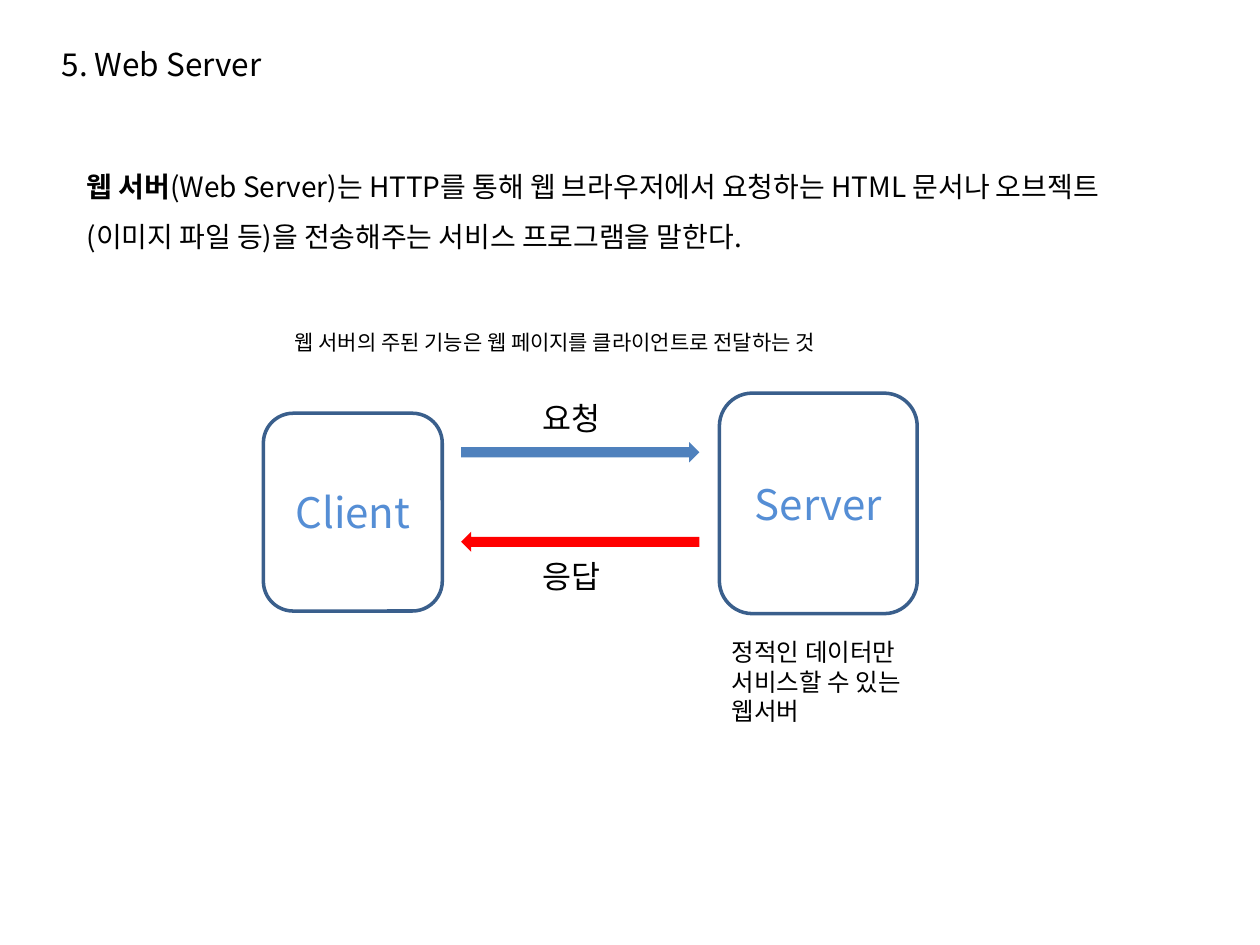
from dataclasses import dataclass

from lxml.etree import SubElement
from pptx import Presentation
from pptx.dml.color import RGBColor
from pptx.enum.shapes import MSO_SHAPE
from pptx.enum.text import MSO_ANCHOR, MSO_AUTO_SIZE, PP_ALIGN
from pptx.oxml.ns import qn
from pptx.util import Inches, Pt


@dataclass(frozen=True)
class Theme:
    font: str = "Noto Sans CJK KR"
    ink: str = "000000"
    outline: str = "3A5F8C"
    node_label: str = "558ED5"
    request: str = "4F81BD"
    response: str = "FF0000"
    heading: int = 18
    body: int = 16
    note: int = 14
    caption: int = 12
    node: int = 24
    outline_width: int = 2


class SlideBuilder:
    """Draws styled elements on the current slide."""

    def __init__(self, slide, theme):
        self.slide = slide
        self.theme = theme

    def style_run(self, run, size, color, bold=False):
        run.font.size = Pt(size)
        run.font.bold = bold
        run.font.color.rgb = RGBColor.from_string(color)
        run.font.name = self.theme.font
        SubElement(run.font._element, qn("a:ea")).set("typeface", self.theme.font)

    def text(self, box, lines, size, wrap=False, spacing=None):
        frame = self.slide.shapes.add_textbox(*map(Inches, box)).text_frame
        frame.text = "\n".join(lines)
        frame.word_wrap = wrap
        frame.auto_size = MSO_AUTO_SIZE.SHAPE_TO_FIT_TEXT
        for paragraph in frame.paragraphs:
            if spacing:
                paragraph.line_spacing = spacing
            for run in paragraph.runs:
                self.style_run(run, size, self.theme.ink)
        return frame

    def definition(self, box, term, meaning):
        paragraph = self.text(box, [term], self.theme.body, True, 1.5).paragraphs[0]
        paragraph.runs[0].font.bold = True
        explanation = paragraph.add_run()
        explanation.text = meaning
        self.style_run(explanation, self.theme.body, self.theme.ink)

    def node(self, box, label):
        node = self.slide.shapes.add_shape(MSO_SHAPE.ROUNDED_RECTANGLE, *map(Inches, box))
        node.shadow.inherit = False
        node.fill.background()
        node.line.color.rgb = RGBColor.from_string(self.theme.outline)
        node.line.width = Pt(self.theme.outline_width)
        frame = node.text_frame
        frame.text = label
        frame.vertical_anchor = MSO_ANCHOR.MIDDLE
        frame.paragraphs[0].alignment = PP_ALIGN.CENTER
        self.style_run(frame.paragraphs[0].runs[0], self.theme.node, self.theme.node_label)

    def arrow(self, box, color, rotation=0):
        arrow = self.slide.shapes.add_shape(MSO_SHAPE.RIGHT_ARROW, *map(Inches, box))
        arrow.shadow.inherit = False
        arrow.rotation = rotation
        arrow.fill.solid()
        arrow.fill.fore_color.rgb = RGBColor.from_string(color)
        arrow.line.fill.background()


def main():
    presentation = Presentation()
    presentation.slide_width = Inches(10)
    presentation.slide_height = Inches(7.5)
    theme = Theme()
    builder = SlideBuilder(
        presentation.slides.add_slide(presentation.slide_layouts[6]), theme
    )

    builder.text((0.39, 0.31, 1.81, 0.4), ["5. Web Server"], theme.heading)
    builder.definition(
        (0.59, 1.16, 8.82, 0.86),
        "웹 서버",
        "(Web Server)는 HTTP를 통해 웹 브라우저에서 요청하는 HTML 문서나 "
        "오브젝트(이미지 파일 등)을 전송해주는 서비스 프로그램을 말한다.",
    )

    builder.node((2.09, 3.28, 1.42, 1.57), "Client")
    builder.node((5.71, 3.12, 1.57, 1.75), "Server")

    messages = [
        ("요청", 3.12, 3.51, theme.request, 0),
        ("응답", 4.37, 4.22, theme.response, 180),
    ]
    for label, label_top, arrow_top, color, rotation in messages:
        builder.arrow((3.66, arrow_top, 1.89, 0.16), color, rotation)
        builder.text((4.21, label_top, 0.71, 0.4), [label], theme.heading)

    builder.text(
        (5.71, 5.01, 1.78, 0.81),
        ["정적인 데이터만", "서비스할 수 있는", "웹서버"],
        theme.note,
    )
    builder.text(
        (2.24, 2.57, 4.89, 0.3),
        ["웹 서버의 주된 기능은 웹 페이지를 클라이언트로 전달하는 것"],
        theme.caption,
    )
    presentation.save("out.pptx")


if __name__ == "__main__":
    main()
